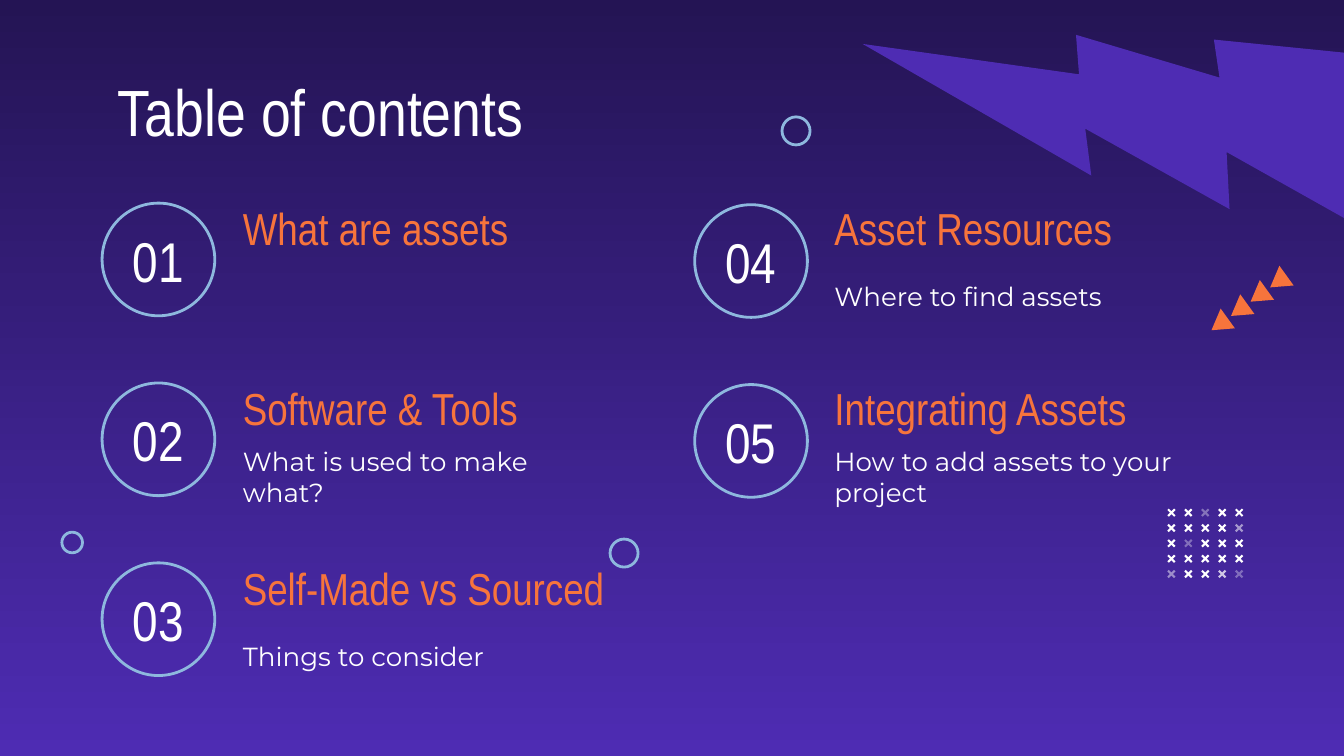
"""Build a table of contents slide with five numbered sections."""
import itertools

import lxml.etree
import pptx
import pptx.dml.color
import pptx.enum.shapes
import pptx.enum.text
import pptx.oxml.ns
import pptx.util
from pptx.util import Cm

TITLE = "Table of contents"
COLUMNS = [
    [
        ("01", "What are assets", ""),
        ("02", "Software & Tools", "What is used to make what?"),
        ("03", "Self-Made vs Sourced", "Things to consider"),
    ],
    [
        ("04", "Asset Resources", "Where to find assets"),
        ("05", "Integrating Assets", "How to add assets to your project"),
    ],
]
COLUMN_LEFTS = [(1.93, 3.84, 4.34), (13.13, 3.87, 15.52)]
ROW_TOP, ROW_PITCH = 3.84, 3.4
RINGS = [(1.17, 10.06, 0.39), (14.78, 2.21, 0.53), (11.53, 10.19, 0.53)]
FADED = {(0, 2): 36, (1, 4): 53, (2, 1): 34, (4, 0): 48, (4, 3): 75, (4, 4): 33}

THEME = {
    "top": "241454", "violet": "4E2CB3", "orange": "F7743C",
    "blue": "8EB8DE", "white": "FFFFFF",
    "head": "Arial Narrow", "body": "Montserrat",
    "title_pt": 35, "number_pt": 30, "heading_pt": 24, "body_pt": 14,
}
SHAPE = pptx.enum.shapes.MSO_SHAPE
ALIGN = pptx.enum.text.PP_ALIGN
ANCHOR = pptx.enum.text.MSO_ANCHOR


def rgb(name):
    return pptx.dml.color.RGBColor.from_string(THEME[name])


def add_text(s, text, box, size, color="white", font="head",
             align=ALIGN.LEFT, anchor=ANCHOR.MIDDLE, sp=None):
    box = [Cm(v) for v in box]
    if sp is None:
        sp = s.shapes.add_textbox(*box)
    sp.left, sp.top, sp.width, sp.height = box
    tf = sp.text_frame
    tf.word_wrap = True
    tf.auto_size = pptx.enum.text.MSO_AUTO_SIZE.NONE
    tf.vertical_anchor = anchor
    tf.margin_left = tf.margin_right = tf.margin_top = tf.margin_bottom = Cm(0.25)
    p = tf.paragraphs[0]
    p.alignment = align
    r = p.add_run()
    r.text = text
    r.font.size = pptx.util.Pt(THEME[size])
    r.font.name = THEME[font]
    r.font.color.rgb = rgb(color)


def add_shape(s, kind, box, fill=None, line=None, rotation=0):
    sp = s.shapes.add_shape(kind, *[Cm(v) for v in box])
    sp.shadow.inherit = False
    sp.rotation = rotation
    if fill:
        sp.fill.solid()
        sp.fill.fore_color.rgb = rgb(fill)
    else:
        sp.fill.background()
    if line:
        sp.line.color.rgb = rgb(line)
        sp.line.width = pptx.util.Pt(1.5)
    else:
        sp.line.fill.background()
    return sp


def add_background(s):
    fill = s.background.fill
    fill.gradient()
    fill.gradient_angle = 270
    for stop, name in zip(fill.gradient_stops, ("top", "violet")):
        stop.color.rgb = rgb(name)
    bolt = add_shape(s, SHAPE.LIGHTNING_BOLT, (17.78, -1.73, 8.05, 8.05),
                     fill="violet", rotation=59.9)
    bolt.element.spPr.find(pptx.oxml.ns.qn("a:xfrm")).set("flipH", "1")


def add_sections(s):
    for (ring_x, ring_y, text_x), items in zip(COLUMN_LEFTS, COLUMNS):
        for i, (number, heading, note) in enumerate(items):
            y = ring_y + i * ROW_PITCH
            top = ROW_TOP + i * ROW_PITCH
            add_shape(s, SHAPE.OVAL, (ring_x, y, 2.13, 2.13), line="blue")
            add_text(s, number, (ring_x - 0.07, y - 0.15, 2.26, 2.44),
                     "number_pt", align=ALIGN.CENTER)
            add_text(s, heading, (text_x, top, 8.66, 0.94),
                     "heading_pt", color="orange")
            if note:
                add_text(s, note, (text_x, top + 0.95, 7.01, 1.63),
                         "body_pt", font="body")


def add_ornaments(s):
    for row, col in itertools.product(range(5), repeat=2):
        sp = add_shape(s, SHAPE.CROSS,
                       (22.05 + col * 0.32, 9.6 + row * 0.29, 0.18, 0.18),
                       fill="white", rotation=315)
        sp.adjustments[0] = 0.39
        if (row, col) in FADED:
            clr = sp.element.spPr.find(".//" + pptx.oxml.ns.qn("a:srgbClr"))
            alpha = lxml.etree.SubElement(clr, pptx.oxml.ns.qn("a:alpha"))
            alpha.set("val", str(FADED[row, col] * 1000))
    for x, y, size in RINGS:
        add_shape(s, SHAPE.OVAL, (x, y, size, size), line="blue")
    for i in range(4):
        add_shape(s, SHAPE.ISOSCELES_TRIANGLE,
                  (23.93 - i * 0.37, 5.13 + i * 0.27, 0.46, 0.38),
                  fill="orange", rotation=234.2)


def main():
    prs = pptx.Presentation()
    prs.slide_width, prs.slide_height = Cm(25.4), Cm(14.29)
    s = prs.slides.add_slide(prs.slide_layouts.get_by_name("Title Only"))
    add_background(s)
    add_text(s, TITLE, (1.98, 1.09, 21.41, 1.63), "title_pt",
             anchor=ANCHOR.TOP, sp=s.shapes.title)
    add_sections(s)
    add_ornaments(s)
    prs.save("out.pptx")


if __name__ == "__main__":
    main()
